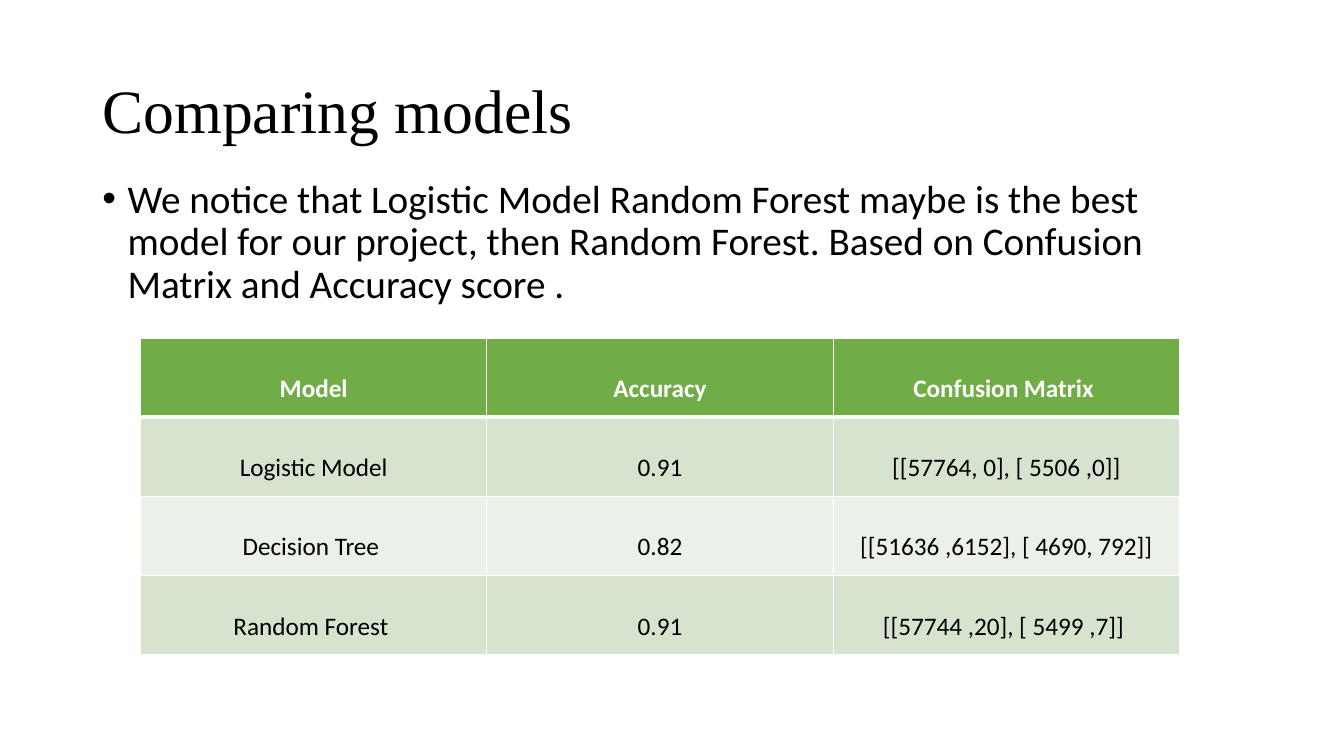
from lxml.etree import SubElement as add_element
from pptx import Presentation
from pptx.dml.color import RGBColor
from pptx.enum.text import MSO_ANCHOR as Anchor, MSO_AUTO_SIZE as AutoSize, PP_ALIGN as Align
from pptx.oxml.ns import qn
from pptx.util import Pt


def color(value):
    return RGBColor.from_string(value)


def add_span(para, text, size, font, ink, bold=False):
    span = para.add_run()
    span.text = text
    span.font.size = Pt(size)
    span.font.name = font
    span.font.color.rgb = color(ink)
    span.font.bold = bold


deck = Presentation()
deck.slide_width, deck.slide_height = Pt(960), Pt(540)
page = deck.slides.add_slide(deck.slide_layouts[1])

title, body = page.placeholders
for box, top, height, anchor in [(title, 28.75, 104.4, Anchor.MIDDLE), (body, 124.6, 342.7, Anchor.TOP)]:
    box.left, box.top, box.width, box.height = Pt(66), Pt(top), Pt(828), Pt(height)
    box.text_frame.vertical_anchor = anchor
    box.text_frame.word_wrap = True
    box.text_frame.auto_size = AutoSize.NONE

para = title.text_frame.paragraphs[0]
para.alignment = Align.LEFT
para.line_spacing = 0.9
add_span(para, "Comparing models", 44, "Times New Roman", "000000")

para = body.text_frame.paragraphs[0]
para.line_spacing = 0.9
para.space_before = Pt(10)
settings = para._p.get_or_add_pPr()
settings.set("marL", str(Pt(18)))
settings.set("indent", str(Pt(-18)))
add_element(settings, qn("a:buFont"), typeface="Arial")
add_element(settings, qn("a:buChar"), char="•")
add_span(
    para,
    "We notice that Logistic Model Random Forest maybe is the best model for our project, "
    "then Random Forest. Based on Confusion Matrix and Accuracy score .",
    28, "Calibri", "000000",
)

results = [
    ("Model", "Accuracy", "Confusion Matrix "),
    ("Logistic Model", "0.91", "[[57764, 0], [ 5506 ,0]]"),
    ("Decision Tree ", "0.82", "[[51636 ,6152], [ 4690, 792]]"),
    ("Random Forest ", "0.91", "[[57744 ,20], [ 5499 ,7]] "),
]
fills = ["70AD47", "D5E3CF", "EBF1E9", "D5E3CF"]
table = page.shapes.add_table(4, 3, Pt(100.4), Pt(241.4), Pt(742.2), Pt(226)).table

for row, values in enumerate(results):
    header = row == 0
    for column, text in enumerate(values):
        cell = table.cell(row, column)
        para = cell.text_frame.paragraphs[0]
        para.alignment = Align.CENTER
        para.line_spacing = 2.0
        add_span(para, text, 18, "Calibri", "FFFFFF" if header else "000000", header)
        borders = {"L": 1, "R": 1, "T": 3 if row == 1 else 1, "B": 3 if header else 1}
        for side, width in borders.items():
            line = add_element(cell._tc.get_or_add_tcPr(), qn(f"a:ln{side}"), w=str(Pt(width)))
            paint = add_element(line, qn("a:solidFill"))
            add_element(paint, qn("a:srgbClr"), val="FFFFFF")
        cell.fill.solid()
        cell.fill.fore_color.rgb = color(fills[row])

deck.save("out.pptx")
